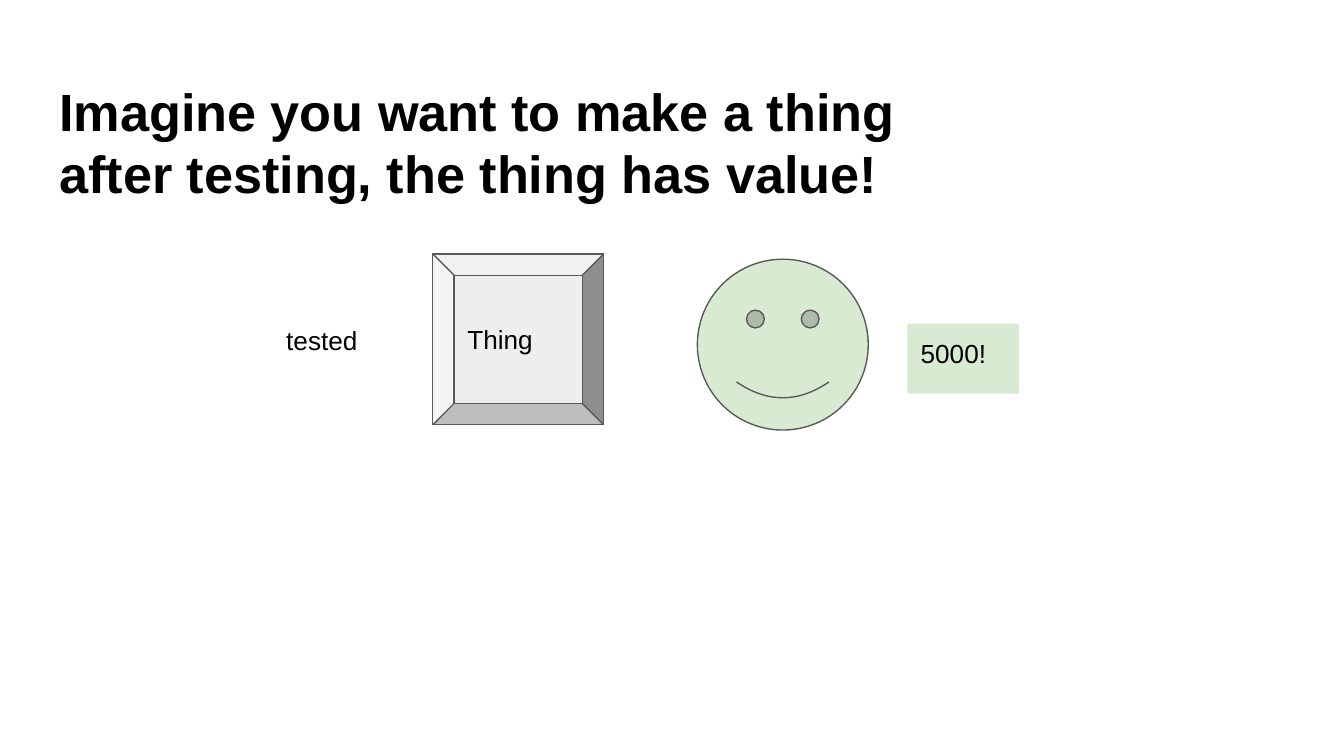
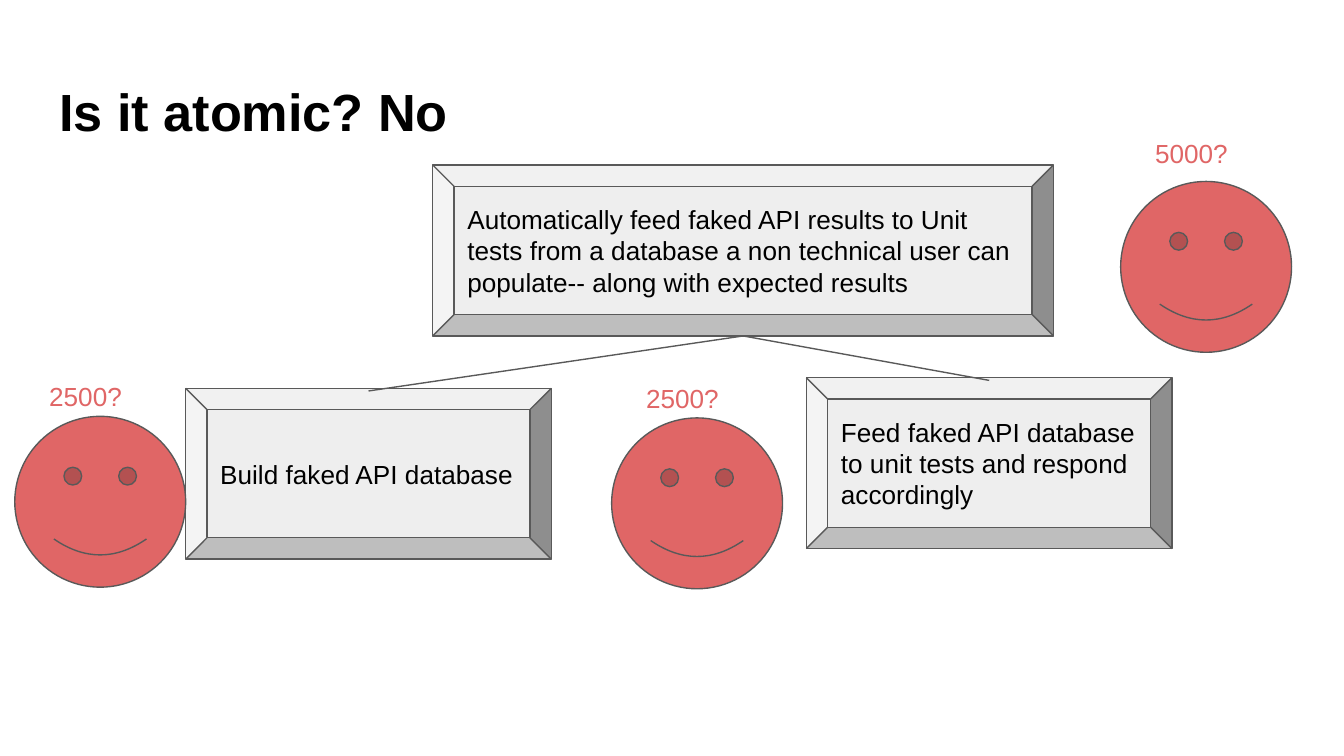
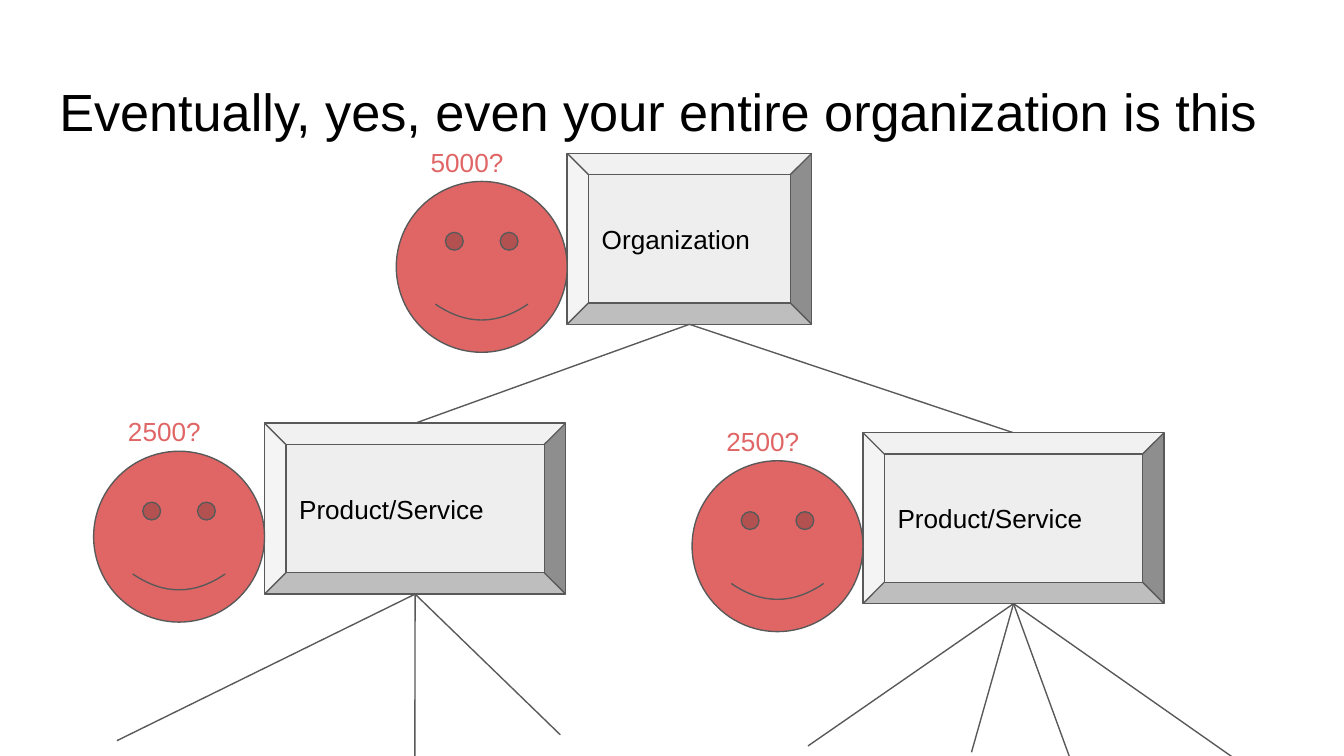
from dataclasses import dataclass

from lxml import etree
from pptx import Presentation
from pptx.dml.color import RGBColor
from pptx.enum.shapes import MSO_CONNECTOR, MSO_SHAPE
from pptx.enum.text import MSO_ANCHOR, MSO_AUTO_SIZE, PP_ALIGN
from pptx.oxml.ns import qn
from pptx.util import Cm, Pt

BEVEL, SMILEY, RECTANGLE = MSO_SHAPE.BEVEL, MSO_SHAPE.SMILEY_FACE, MSO_SHAPE.RECTANGLE
STRAIGHT = MSO_CONNECTOR.STRAIGHT
TOP, MIDDLE = MSO_ANCHOR.TOP, MSO_ANCHOR.MIDDLE
NO_FIT = MSO_AUTO_SIZE.NONE
LEFT = PP_ALIGN.LEFT

# Shared look, lengths in centimetres
BLACK, WHITE, GREY, PALE = "000000", "FFFFFF", "595959", "EEEEEE"
GREEN, RED = "D9EAD3", "E06666"
FONT = "Arial"
TITLE_SIZE, TEXT_SIZE = 28, 14
LINE_WIDTH = 0.75
INSET = 0.25
SIDE = 3.23  # height of every block and face
TITLE_ONLY = 5
BOTTOM_SITE = 2


@dataclass
class Block:
    left: float
    top: float
    width: float
    text: str

    @property
    def middle(self) -> float:
        return self.left + self.width / 2


@dataclass
class Face:
    left: float
    top: float
    value: str
    label_rise: float = 0.92


@dataclass
class Branch:
    block: Block
    value: str
    ends: list[tuple[float, float]]


def rgb(value: str) -> RGBColor:
    return RGBColor.from_string(value)


def write(shape, lines: list[str], size: float = TEXT_SIZE, color: str = BLACK,
          bold: bool = False, anchor=TOP) -> None:
    frame = shape.text_frame
    frame_format = {"word_wrap": True, "auto_size": NO_FIT, "vertical_anchor": anchor}
    for side in ("left", "top", "right", "bottom"):
        frame_format[f"margin_{side}"] = Cm(INSET)
    for name, value in frame_format.items():
        setattr(frame, name, value)
    span_format = {"name": FONT, "size": Pt(size), "bold": bold}
    for index, line in enumerate(lines):
        para = frame.paragraphs[0] if index == 0 else frame.add_paragraph()
        para.alignment = LEFT
        para.space_before = Pt(0)
        span = para.add_run()
        span.text = line
        for name, value in span_format.items():
            setattr(span.font, name, value)
        span.font.color.rgb = rgb(color)


def add_page(deck, lines: list[str], bold: bool = True):
    page = deck.slides.add_slide(deck.slide_layouts[TITLE_ONLY])
    page.background.fill.solid()
    page.background.fill.fore_color.rgb = rgb(WHITE)
    title = page.shapes.title
    place = {"left": 0.87, "top": 1.24, "width": 23.67, "height": 1.6}
    for name, value in place.items():
        setattr(title, name, Cm(value))
    write(title, lines, TITLE_SIZE, bold=bold)
    return page


def add_figure(page, kind, left: float, top: float, width: float, height: float,
               fill: str, outlined: bool = True):
    shape = page.shapes.add_shape(kind, Cm(left), Cm(top), Cm(width), Cm(height))
    shape.shadow.inherit = False
    shape.fill.solid()
    shape.fill.fore_color.rgb = rgb(fill)
    if outlined:
        shape.line.color.rgb = rgb(GREY)
        shape.line.width = Pt(LINE_WIDTH)
    else:
        shape.line.fill.background()
    return shape


def add_block(page, block: Block):
    shape = add_figure(page, BEVEL, block.left, block.top, block.width, SIDE, PALE)
    write(shape, [block.text], anchor=MIDDLE)
    return shape


def add_label(page, left: float, top: float, width: float, height: float,
              text: str, color: str = BLACK) -> None:
    box = page.shapes.add_textbox(Cm(left), Cm(top), Cm(width), Cm(height))
    write(box, [text], color=color)


def add_doubtful_face(page, face: Face, label_width: float, label_height: float) -> None:
    add_figure(page, SMILEY, face.left, face.top, SIDE, SIDE, RED)
    add_label(page, face.left + 0.4, face.top - face.label_rise,
              label_width, label_height, face.value, RED)


def add_link(page, parent, x: float, y: float) -> None:
    """Draw a line from the bottom of the parent block to a point."""
    line = page.shapes.add_connector(STRAIGHT, Cm(0), Cm(0), Cm(x), Cm(y))
    line.begin_connect(parent, BOTTOM_SITE)
    line.line.color.rgb = rgb(GREY)
    line.line.width = Pt(LINE_WIDTH)
    etree.SubElement(line._element.spPr, qn("a:effectLst"))


def build_value_page(deck) -> None:
    page = add_page(deck, ["Imagine you want to make a thing",
                           "after testing, the thing has value!"])
    add_block(page, Block(8.18, 4.8, SIDE, "Thing"))
    add_figure(page, SMILEY, 13.18, 4.9, SIDE, SIDE, GREEN)
    price = add_figure(page, RECTANGLE, 17.15, 6.12, 2.11, 1.32, GREEN, outlined=False)
    write(price, ["5000!"])
    add_label(page, 5.16, 5.89, 2.39, 2.26, "tested")


def build_atomic_page(deck) -> None:
    page = add_page(deck, ["Is it atomic? No"])
    whole = add_block(page, Block(
        8.18, 3.12, 11.73,
        "Automatically feed faked API results to Unit tests from a database "
        "a non technical user can populate-- along with expected results"))
    parts = [
        Block(3.51, 7.34, 6.91, "Build faked API database"),
        Block(15.24, 7.14, 6.91,
              "Feed faked API database to unit tests and respond accordingly"),
    ]
    faces = [
        Face(21.18, 3.43, "5000?", label_rise=1.09),
        Face(0.28, 7.87, "2500?"),
        Face(11.56, 7.9, "2500?"),
    ]
    for part in parts:
        add_block(page, part)
    for face in faces:
        add_doubtful_face(page, face, 19.38, 2.26)
    for part in parts:
        add_link(page, whole, part.middle, part.top + 0.05)


def build_organization_page(deck) -> None:
    page = add_page(deck, ["Eventually, yes, even your entire organization is this"],
                    bold=False)
    root, *services = [
        Branch(Block(10.72, 2.9, 4.62, "Organization"), "5000?", []),
        Branch(Block(5, 8, 5.69, "Product/Service"), "2500?",
               [(2.21, 14), (7.84, 14.38), (10.59, 13.89)]),
        Branch(Block(16.31, 8.18, 5.69, "Product/Service"), "2500?",
               [(15.27, 14.1), (18.36, 14.22), (20.24, 14.38), (23.32, 14.33)]),
    ]
    root.ends = [(service.block.middle, service.block.top) for service in services]
    for branch in (root, *services):
        block = branch.block
        shape = add_block(page, block)
        face = Face(block.left - SIDE, block.top + 0.53, branch.value)
        add_doubtful_face(page, face, 2.06, 0.91)
        for x, y in branch.ends:
            add_link(page, shape, x, y)


def main() -> None:
    deck = Presentation()
    deck.slide_width, deck.slide_height = Cm(25.4), Cm(14.29)
    build_value_page(deck)
    build_atomic_page(deck)
    build_organization_page(deck)
    deck.save("out.pptx")


if __name__ == "__main__":
    main()
